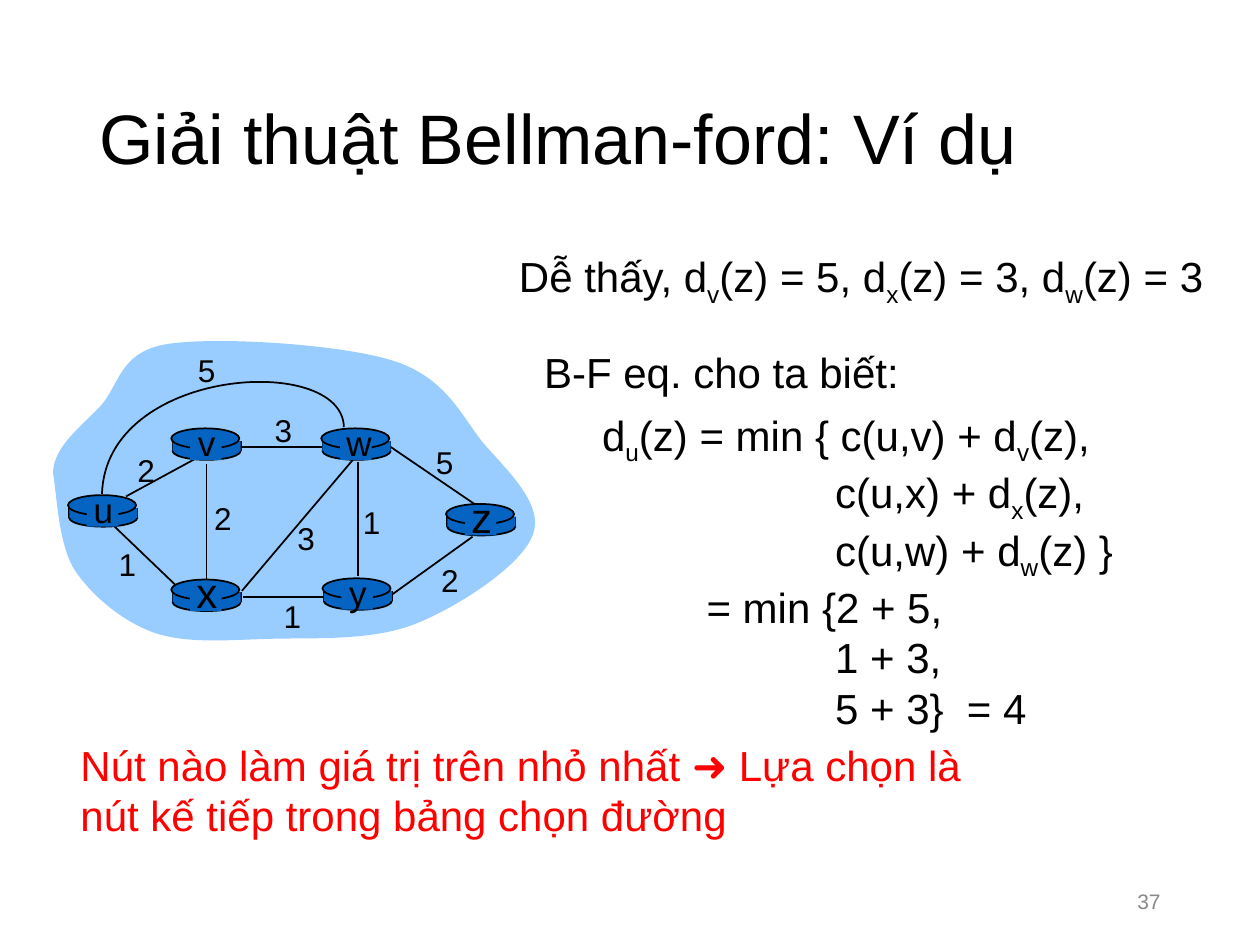
import pptx
import pptx.util
import pptx.dml.color
import pptx.enum.text
import pptx.enum.shapes
import pptx.oxml.ns
import lxml.etree

Inches, Pt = pptx.util.Inches, pptx.util.Pt
ALIGN = pptx.enum.text.PP_ALIGN
ANCHOR = pptx.enum.text.MSO_ANCHOR
KIND = pptx.enum.shapes.MSO_SHAPE

HUES = {"ink": "000000", "cloud": "99CCFF", "node": "0563C1",
        "red": "FF0000", "gray": "898989"}

NODES = [("u", 0.54, 3.93, 20), ("x", 1.36, 4.6, 24), ("v", 1.36, 3.4, 20),
         ("w", 2.55, 3.4, 20), ("y", 2.56, 4.59, 20), ("z", 3.54, 4, 24)]

LINKS = [
    ((1, 3.94), (1.59, 3.62), "2", (0.99, 3.53)),
    ((1.64, 3.68), (1.64, 4.61), "2", (1.6, 3.91)),
    ((1.39, 4.64), (0.91, 4.18), "1", (0.84, 4.28)),
    ((1.92, 4.69), (2.8, 3.65), "3", (2.26, 4.07)),
    ((2.57, 4.74), (1.93, 4.74), "1", (2.15, 4.69)),
    ((2.84, 3.67), (2.84, 4.57), "1", (2.78, 3.94)),
    ((3.11, 4.72), (3.75, 4.26), "2", (3.4, 4.4)),
    ((3.78, 4.01), (3.09, 3.54), "5", (3.36, 3.47)),
    ((2.56, 3.55), (1.92, 3.55), "3", (2.08, 3.21)),
]

CLOUD = [
    (0.42, 3.75),
    (0.43, 3.54), (0.64, 3.39), (0.8, 3.22),
    (0.95, 3.05), (0.95, 2.79), (1.33, 2.73),
    (1.72, 2.67), (2.69, 2.73), (3.11, 2.86),
    (3.53, 2.99), (3.65, 3.28), (3.83, 3.51),
    (4.02, 3.73), (4.32, 4), (4.23, 4.24),
    (4.15, 4.48), (3.65, 4.81), (3.3, 4.95),
    (2.95, 5.09), (2.49, 5.06), (2.14, 5.07),
    (1.79, 5.08), (1.48, 5.11), (1.22, 5.02),
    (0.97, 4.93), (0.73, 4.73), (0.59, 4.52),
    (0.46, 4.31), (0.45, 3.91), (0.42, 3.75),
]
ARC = [(2.73, 3.39), (2.72, 2.8), (0.84, 2.91), (0.81, 3.92)]

TITLE = ["Giải thuật Bellman-ford: Ví dụ"]
KNOWN = ["Dễ thấy, d_v(z) = 5, d_x(z) = 3, d_w(z) = 3"]
LEAD = ["B-F eq. cho ta biết:"]
SUMS = [("d_u(z) = min { c(u,v) + d_v(z),", 0), ("c(u,x) + d_x(z),", 1.85),
        ("c(u,w) + d_w(z) }", 1.85), ("= min {2 + 5,", 0.83),
        ("1 + 3,", 1.85), ("5 + 3}  = 4", 1.85)]
NOTE = ["Nút nào làm giá trị trên nhỏ nhất ➜ Lựa chọn là",
        "nút kế tiếp trong bảng chọn đường"]

deck = pptx.Presentation()
deck.slide_width, deck.slide_height = Inches(10), Inches(7.5)
slide = deck.slides.add_slide(deck.slide_layouts[6])
shapes = slide.shapes


def tint(name):
    return pptx.dml.color.RGBColor.from_string(HUES[name])


def write(lines, box, size=24, hue="ink", align=ALIGN.LEFT,
          anchor=ANCHOR.TOP, wrap=False, pitch=None):
    frame = shapes.add_textbox(*map(Inches, box)).text_frame
    frame.word_wrap = wrap
    frame.vertical_anchor = anchor
    for i, line in enumerate(lines):
        text, inset = line if isinstance(line, tuple) else (line, 0)
        para = frame.paragraphs[0] if i == 0 else frame.add_paragraph()
        para.alignment = align
        if pitch:
            para.line_spacing = pitch
        if inset:
            para._p.get_or_add_pPr().set("marL", str(Inches(inset)))
        first, *rest = text.split("_")
        parts = [(first, False)]
        for part in rest:
            parts += [(part[0], True), (part[1:], False)]
        for words, low in parts:
            run = para.add_run()
            run.text = words
            run.font.size = Pt(size)
            run.font.name = "Arial"
            run.font.color.rgb = tint(hue)
            if low:
                run._r.get_or_add_rPr().set("baseline", "-25000")


def paint(shape, fill=None, line=None):
    shape.shadow.inherit = False
    if fill:
        shape.fill.solid()
        shape.fill.fore_color.rgb = tint(fill)
    else:
        shape.fill.background()
    if line:
        shape.line.color.rgb = tint(line)
        shape.line.width = Pt(1)
    else:
        shape.line.fill.background()


def block(kind, box, line=None):
    paint(shapes.add_shape(kind, *map(Inches, box)), "node", line)


def join(start, end):
    link = shapes.add_connector(pptx.enum.shapes.MSO_CONNECTOR.STRAIGHT,
                                *map(Inches, start + end))
    link.line.color.rgb = tint("ink")
    link.line.width = Pt(1)
    lxml.etree.SubElement(link._element.spPr, pptx.oxml.ns.qn("a:effectLst"))


def curve(knots, box, close, **style):
    qn, add = pptx.oxml.ns.qn, lxml.etree.SubElement
    left, top, wide, high = map(Inches, box)
    pen = shapes.build_freeform(left, top)
    pen.add_line_segments([(left + wide, top), (left + wide, top + high),
                           (left, top + high)], close=False)
    shape = pen.convert_to_shape()
    route = next(shape._element.iter(qn("a:path")))
    for step in list(route):
        route.remove(step)
    for i, (x, y) in enumerate(knots):
        if i == 0:
            step = add(route, qn("a:moveTo"))
        elif i % 3 == 1:
            step = add(route, qn("a:cubicBezTo"))
        add(step, qn("a:pt"), x=str(Inches(x) - left), y=str(Inches(y) - top))
    if close:
        add(route, qn("a:close"))
    paint(shape, **style)


def router(x, y):
    block(KIND.OVAL, (x + 0.01, y + 0.11, 0.54, 0.14), "ink")
    for side in (x + 0.01, x + 0.55):
        join((side, y + 0.1), (side, y + 0.18))
    block(KIND.RECTANGLE, (x + 0.01, y + 0.1, 0.54, 0.08))
    block(KIND.OVAL, (x, y, 0.54, 0.16), "ink")


write(TITLE, (0.69, 0.4, 8.63, 1.45), size=40, anchor=ANCHOR.MIDDLE,
      wrap=True, pitch=0.9)
write(["37"], (7.06, 6.95, 2.25, 0.4), size=12, hue="gray",
      align=ALIGN.RIGHT, anchor=ANCHOR.MIDDLE, wrap=True)

curve(CLOUD, (0.42, 2.67, 3.91, 2.45), True, fill="cloud")
for start, end, cost, spot in LINKS:
    join(start, end)
curve(ARC, (0.81, 2.8, 1.93, 1.12), False, line="ink")
for name, x, y, size in NODES:
    router(x, y)
    block(KIND.RECTANGLE, (x + 0.15, y + 0.02, 0.25, 0.23))
    high = 0.44 if size == 20 else 0.5
    mid = 0.12 if size == 20 else 0.1
    write([name], (x + 0.1, y + mid - high / 2, 0.36, high), size=size,
          align=ALIGN.CENTER)
for start, end, cost, spot in LINKS + [(None, None, "5", (1.47, 2.74))]:
    write([cost], spot + (0.34, 0.4), size=18, align=ALIGN.CENTER)

write(KNOWN, (4.02, 1.94, 5.65, 0.56))
write(SUMS, (4.68, 3.2, 4.4, 2.67), wrap=True)
write(NOTE, (0.54, 5.82, 7.28, 0.9), hue="red")
write(LEAD, (4.22, 2.7, 3.1, 0.5), wrap=True)

deck.save("out.pptx")
